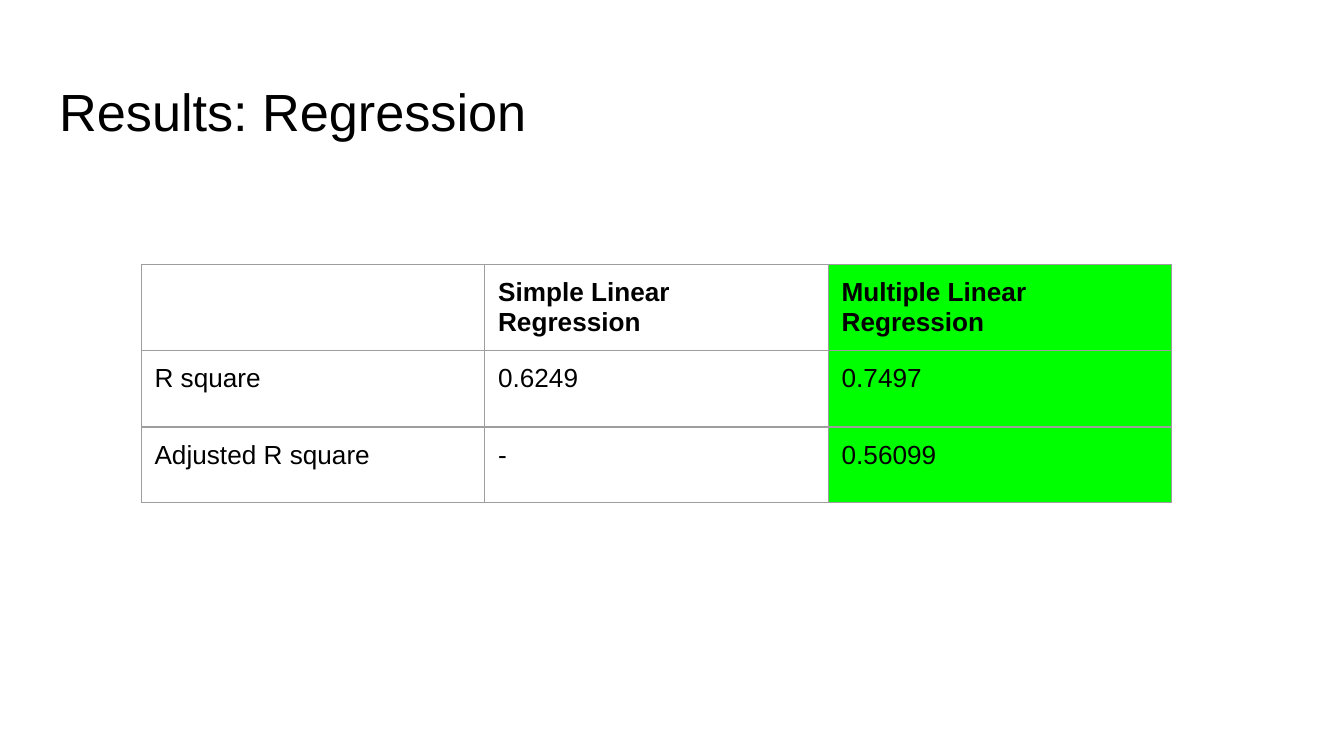
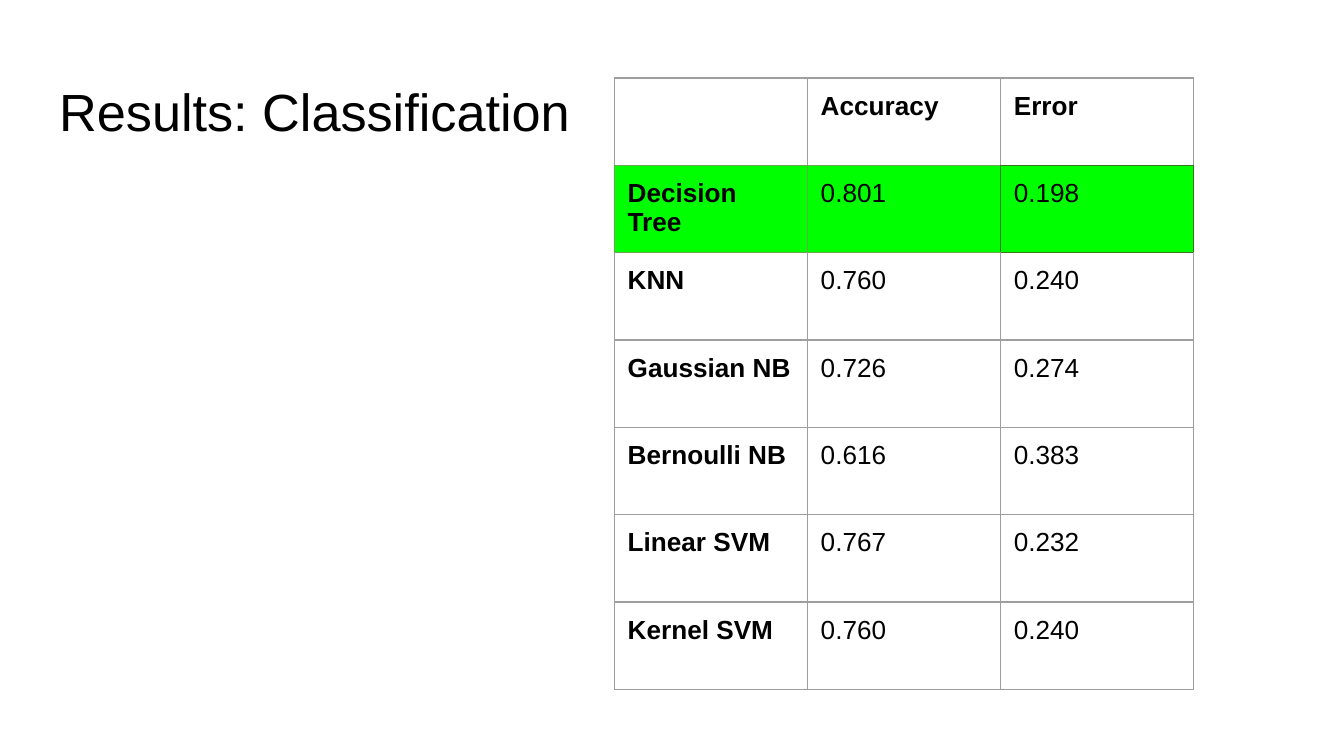
from lxml import etree
from pptx import Presentation
from pptx.dml.color import RGBColor
from pptx.enum.text import MSO_ANCHOR, MSO_AUTO_SIZE, PP_ALIGN
from pptx.oxml.ns import qn
from pptx.util import Inches, Pt

TOP, LEFT, NO_FIT = MSO_ANCHOR.TOP, PP_ALIGN.LEFT, MSO_AUTO_SIZE.NONE
FONT = "Arial"
BLACK = RGBColor(0x00, 0x00, 0x00)
BEST = RGBColor(0x00, 0xFF, 0x00)
GREY = RGBColor(0x9E, 0x9E, 0x9E)
GREEN = RGBColor(0x6A, 0xA8, 0x4F)
DARK_GREEN = RGBColor(0x38, 0x76, 0x1D)
INSET = Inches(0.1)
BORDER = Pt(0.75)
# Border tag and the offset of the neighbouring cell on that side
SIDES = (("a:lnL", 0, -1), ("a:lnR", 0, 1), ("a:lnT", -1, 0), ("a:lnB", 1, 0))


def set_text(holder, frame, text, size, bold=False):
    """Fill a title frame or a table cell; holder carries the margins."""
    frame.text = text
    holder.vertical_anchor = TOP
    holder.margin_left = holder.margin_right = INSET
    holder.margin_top = holder.margin_bottom = INSET
    for paragraph in frame.paragraphs:
        paragraph.alignment = LEFT
        font = paragraph.font
        font.name, font.size, font.bold = FONT, Pt(size), bold
        font.color.rgb = BLACK


def add_border(cell, tag, colour):
    line = etree.SubElement(cell._tc.get_or_add_tcPr(), qn(tag), w=str(BORDER))
    fill = etree.SubElement(line, qn("a:solidFill"))
    etree.SubElement(fill, qn("a:srgbClr"), val=str(colour))


# Content: place, table width, row heights, best cells with their frame colours
results = [
    {
        "title": "Results: Regression",
        "place": (1.05, 1.97), "width": 7.67, "heights": [0.57, 0.57, 0.56],
        "bold_labels": False,
        "best": {(row, 2): GREY for row in range(3)},
        "rows": [
            ("", "Simple Linear\nRegression", "Multiple Linear Regression"),
            ("R square", "0.6249", "0.7497"),
            ("Adjusted R square", "-", "0.56099"),
        ],
    },
    {
        "title": "Results: Classification",
        "place": (4.57, 0.58), "width": 4.31, "heights": [0.65] * 7,
        "bold_labels": True,
        "best": {(1, 0): GREEN, (1, 1): GREEN, (1, 2): DARK_GREEN},
        "rows": [
            ("", "Accuracy", "Error"),
            ("Decision Tree", "0.801", "0.198"),
            ("KNN", "0.760", "0.240"),
            ("Gaussian NB", "0.726", "0.274"),
            ("Bernoulli NB", "0.616", "0.383"),
            ("Linear SVM", "0.767", "0.232"),
            ("Kernel SVM", "0.760", "0.240"),
        ],
    },
]

# Widescreen 16:9
prs = Presentation()
prs.slide_width, prs.slide_height = Inches(10), Inches(10 * 9 / 16)
title_only = prs.slide_layouts[5]

for result in results:
    slide = prs.slides.add_slide(title_only)

    # Title
    title = slide.shapes.title
    title.left, title.top = Inches(0.34), Inches(0.49)
    title.width, title.height = Inches(9.32), Inches(0.63)
    title.text_frame.auto_size = NO_FIT
    set_text(title.text_frame, title.text_frame, result["title"], 28)

    # Table of scores
    rows, best, heights = result["rows"], result["best"], result["heights"]
    left, top = result["place"]
    columns = len(rows[0])
    scores = slide.shapes.add_table(
        len(rows), columns, Inches(left), Inches(top),
        Inches(result["width"]), Inches(sum(heights))).table
    scores.first_row = scores.horz_banding = False

    for r, (row, height) in enumerate(zip(rows, heights)):
        scores.rows[r].height = Inches(height)
        for c, text in enumerate(row):
            cell = scores.cell(r, c)
            bold = r == 0 or (c == 0 and result["bold_labels"])
            set_text(cell, cell.text_frame, text, 14, bold)

            # A shared edge takes the darker of the two frame colours
            for tag, down, across in SIDES:
                neighbour = best.get((r + down, c + across), GREY)
                add_border(cell, tag, min(best.get((r, c), GREY), neighbour))
            if (r, c) in best:
                cell.fill.solid()
                cell.fill.fore_color.rgb = BEST
            else:
                cell.fill.background()

prs.save("out.pptx")
